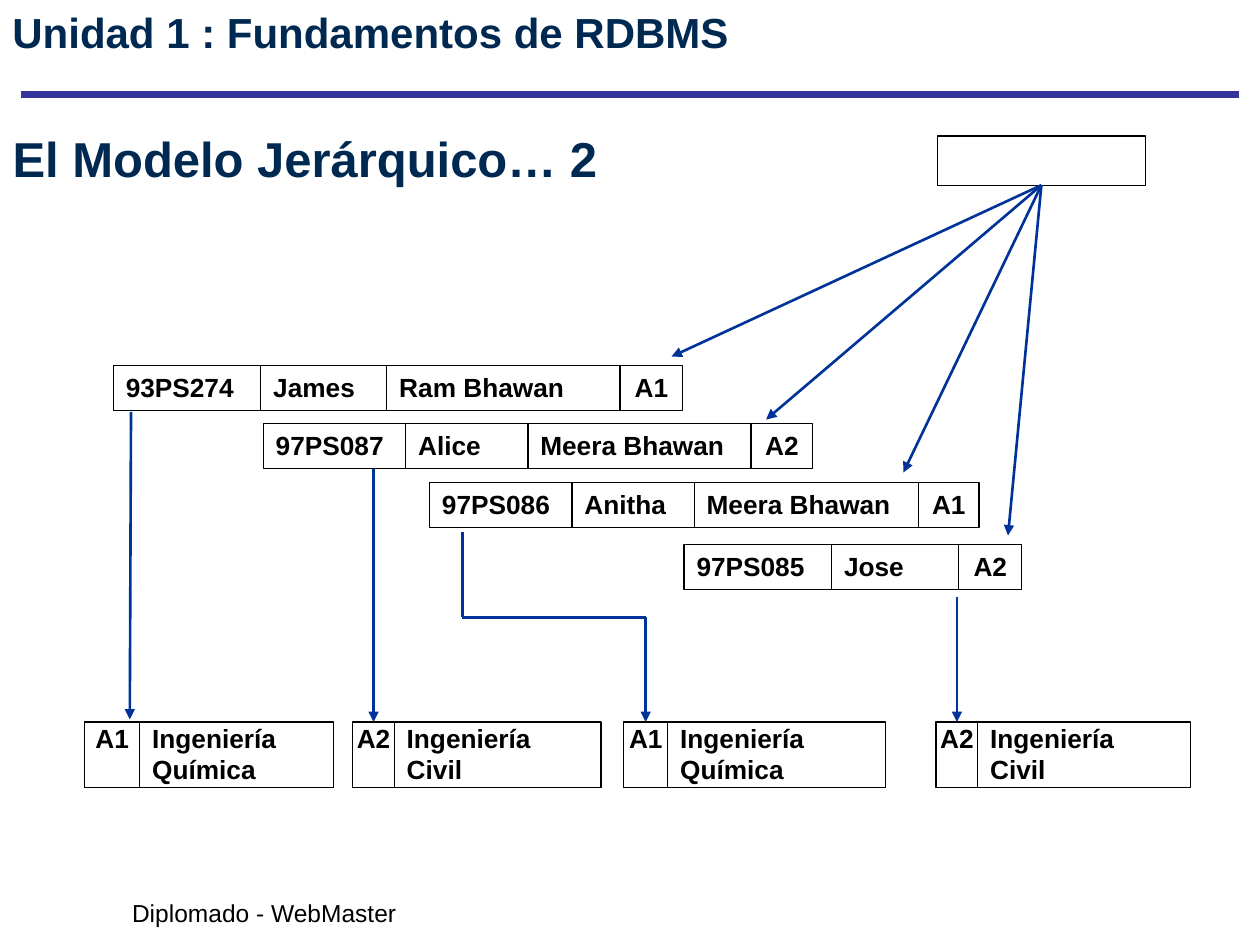
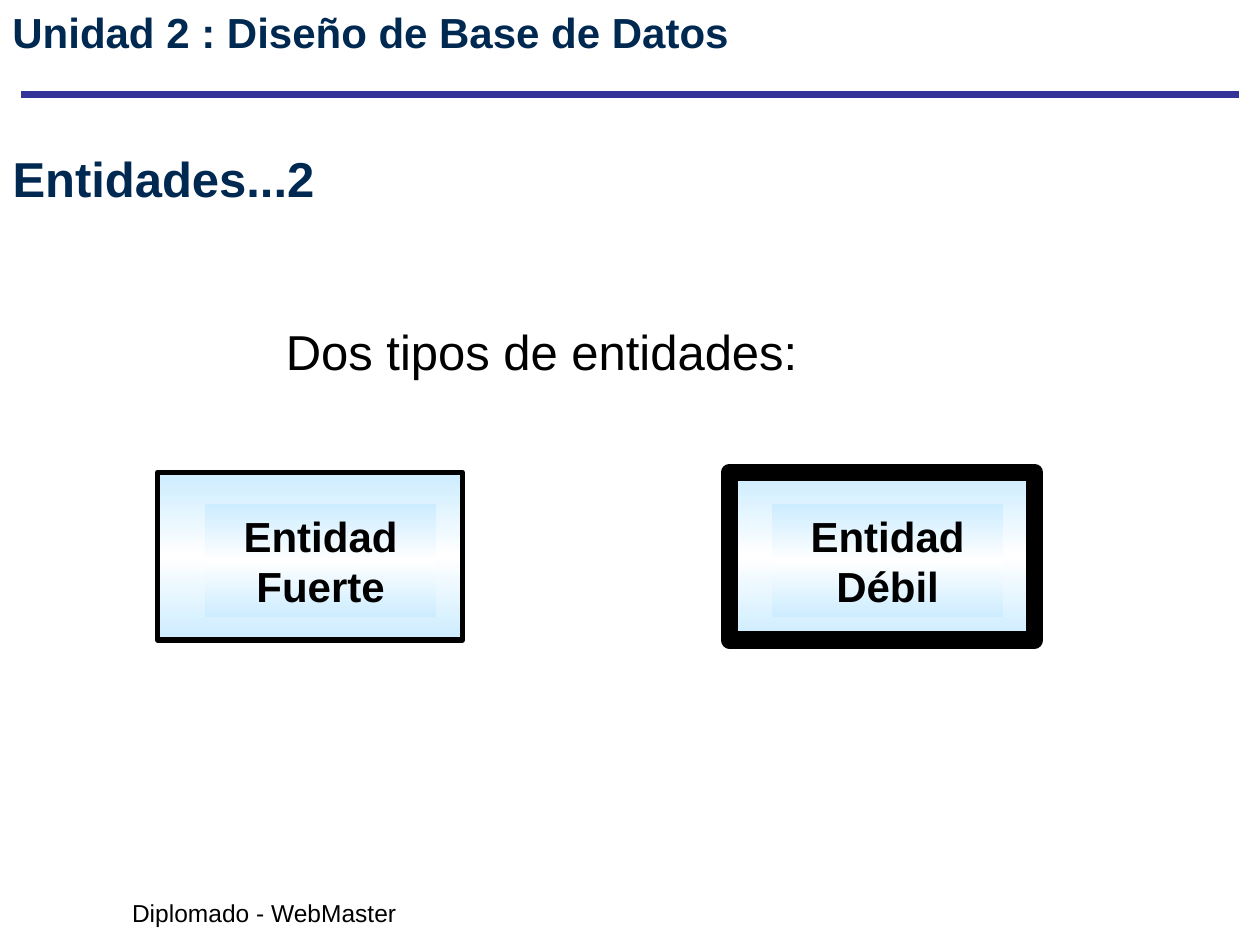
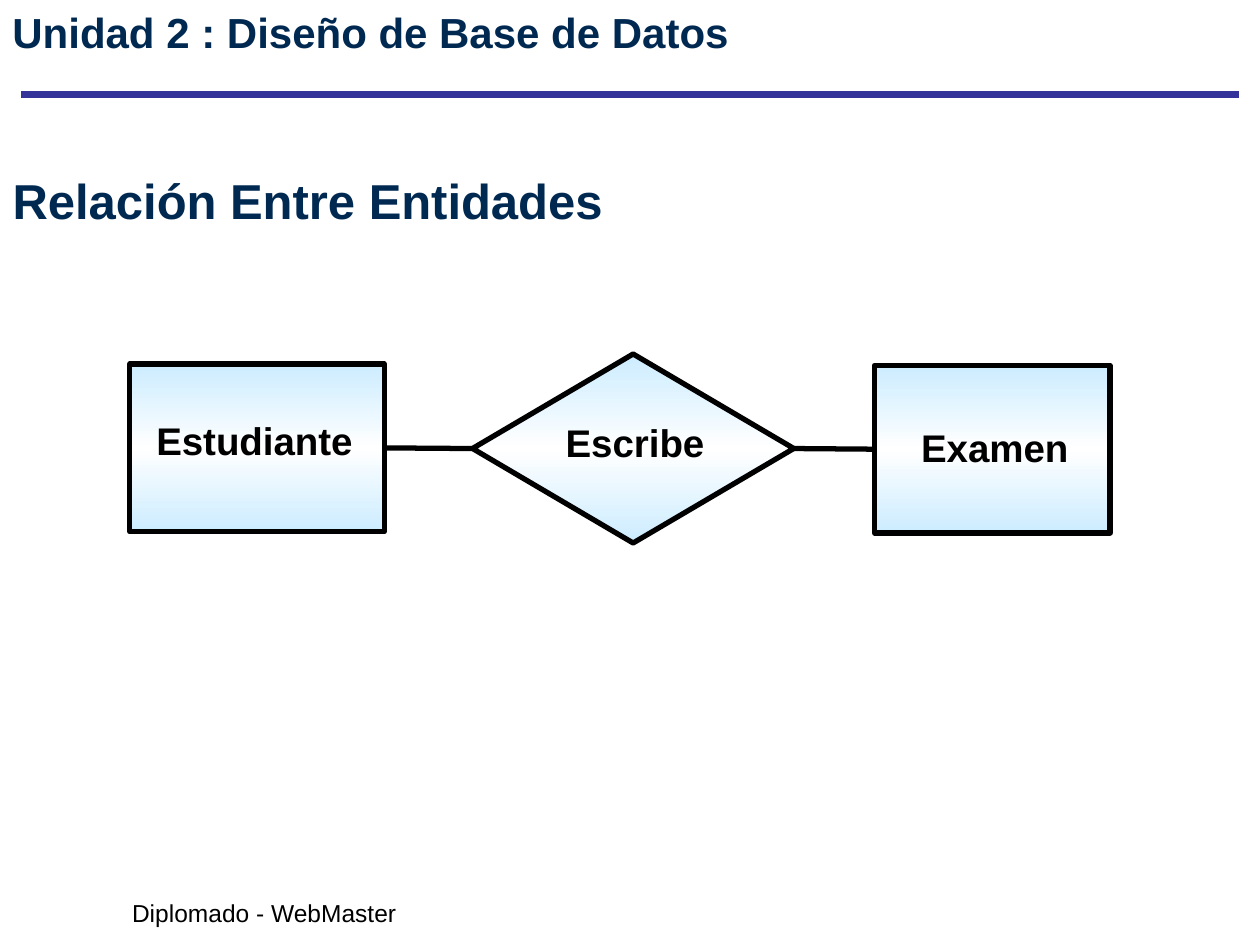
from copy import deepcopy

from pptx import Presentation
from pptx.dml.color import RGBColor
from pptx.enum.shapes import MSO_CONNECTOR, MSO_SHAPE
from pptx.enum.text import MSO_ANCHOR, MSO_AUTO_SIZE, PP_ALIGN
from pptx.oxml.ns import qn
from pptx.util import Inches, Pt
from lxml import etree

LEFT, CENTER = PP_ALIGN.LEFT, PP_ALIGN.CENTER
RECT, DECISION = MSO_SHAPE.RECTANGLE, MSO_SHAPE.FLOWCHART_DECISION
STRAIGHT = MSO_CONNECTOR.STRAIGHT
MIDDLE, NO_FIT = MSO_ANCHOR.MIDDLE, MSO_AUTO_SIZE.NONE

FONT = "Arial"
NAVY = RGBColor(0x00, 0x29, 0x52)
RULE = RGBColor(0x33, 0x33, 0x99)
ARROW = RGBColor(0x00, 0x33, 0x99)
BLACK = RGBColor(0x00, 0x00, 0x00)
WHITE = RGBColor(0xFF, 0xFF, 0xFF)
SKY = RGBColor(0xCC, 0xEC, 0xFF)


def add_box(slide, box, text="", size=15, bold=True, color=BLACK, align=LEFT,
            shape=None, line=None, gradient=False, inset=(0.1, 0.05), wrap=True):
    """Add a preset shape, or a text box when no shape is given."""
    box = [Inches(v) for v in box]
    if shape is None:
        sp = slide.shapes.add_textbox(*box)
    else:
        sp = slide.shapes.add_shape(shape, *box)
        sp.shadow.inherit = False
        if gradient:
            sp.fill.gradient()
            sp.fill.gradient_angle = 90
            stops = sp._element.spPr.find(".//" + qn("a:gsLst"))
            stops.append(deepcopy(stops[0]))
            for stop, pos, rgb in zip(sp.fill.gradient_stops, (0, 0.5, 1), (SKY, WHITE, SKY)):
                stop.position = pos
                stop.color.rgb = rgb
        else:
            sp.fill.background()
        if line:
            sp.line.color.rgb = BLACK
            sp.line.width = Pt(line)
        else:
            sp.line.fill.background()
    if text:
        tf = sp.text_frame
        tf.word_wrap = wrap
        tf.vertical_anchor = MSO_ANCHOR.TOP
        tf.margin_left = tf.margin_right = Inches(inset[0])
        tf.margin_top = tf.margin_bottom = Inches(inset[1])
        tf.text = text
        p = tf.paragraphs[0]
        p.alignment = align
        for r in p.runs:
            r.font.name, r.font.size, r.font.bold = FONT, Pt(size), bold
            r.font.color.rgb = color
    return sp


def add_line(slide, x1, y1, x2, y2, color, width, arrow=False):
    line = slide.shapes.add_connector(STRAIGHT, *[Inches(v) for v in (x1, y1, x2, y2)])
    line.line.color.rgb = color
    line.line.width = Pt(width)
    if arrow:
        etree.SubElement(line.line._get_or_add_ln(), qn("a:tailEnd"), type="triangle")
    etree.SubElement(line._element.spPr, qn("a:effectLst"))
    return line


prs = Presentation()
prs.slide_width, prs.slide_height = Inches(10), Inches(7.5)

# Shared frame: rule, title, unit heading and footer
UNIT_1 = "Unidad 1 : Fundamentos de RDBMS"
UNIT_2 = "Unidad 2 : Diseño de Base de Datos"
pages = [
    (UNIT_1, "El Modelo Jerárquico… 2", (0, 0.92, 8.5, 0.67)),
    (UNIT_2, "Entidades...2", (0, 1.08, 6.67, 0.67)),
    (UNIT_2, "Relación Entre Entidades", (0, 1.17, 8.5, 0.83)),
]
slides = []
for unit, heading, box in pages:
    slide = prs.slides.add_slide(prs.slide_layouts[5])
    add_line(slide, 0.17, 0.75, 9.83, 0.75, RULE, 4.5)
    title = slide.shapes.title
    title.left, title.top, title.width, title.height = [Inches(v) for v in box]
    tf = title.text_frame
    tf.text = heading
    tf.auto_size = NO_FIT
    tf.vertical_anchor = MIDDLE
    p = tf.paragraphs[0]
    p.alignment = LEFT
    font = p.runs[0].font
    font.name, font.size, font.bold = FONT, Pt(28), True
    font.color.rgb = NAVY
    add_box(slide, (0.95, 7.08, 2.3, 0.34), "Diplomado - WebMaster", 14, False, wrap=False)
    add_box(slide, (0, 0, 7.91, 0.58), unit, 24, color=NAVY)
    slides.append(slide)
hierarchy, entities, relation = slides

# Slide 1: student records, each a row of adjoining cells
records = [
    (0.9, 2.9, [("93PS274", 1.17), ("James", 1), ("Ram Bhawan", 1.85), ("A1", 0.5)]),
    (2.09, 3.36, [("97PS087", 1.13), ("Alice", 0.97), ("Meera Bhawan", 1.77), ("A2", 0.49)]),
    (3.41, 3.83, [("97PS086", 1.13), ("Anitha", 0.97), ("Meera Bhawan", 1.78), ("A1", 0.48)]),
    (5.43, 4.32, [("97PS085", 1.17), ("Jose", 1.01), ("A2", 0.5)]),
]
for x, y, cells in records:
    for text, width in cells:
        is_key = text in ("A1", "A2")
        add_box(hierarchy, (x, y, width, 0.36), text, shape=RECT, line=0.75,
                align=CENTER if is_key else LEFT, inset=(0 if is_key else 0.1, 0.05))
        x += width

careers = [
    (0.67, 0.44, "A1", 1.54, "Ingeniería\vQuímica"),
    (2.8, 0.33, "A2", 1.64, "Ingeniería\vCivil"),
    (4.95, 0.35, "A1", 1.73, "Ingeniería\vQuímica"),
    (7.43, 0.33, "A2", 1.69, "Ingeniería\vCivil"),
]
CAREER_TOP = 5.73
key_boxes = []
for x, key_width, key, name_width, name in careers:
    key_boxes.append(add_box(hierarchy, (x, CAREER_TOP, key_width, 0.52), key,
                             align=CENTER, shape=RECT, line=0.75, inset=(0, 0)))
    add_box(hierarchy, (x + key_width, CAREER_TOP, name_width, 0.52), name,
            shape=RECT, line=0.75, inset=(0.1, 0))

add_line(hierarchy, 1.04, 3.27, 1.03, 5.71, ARROW, 1.5, arrow=True)
for (x, key_width, *_), key_box, top in zip(careers[1:], key_boxes[1:], (3.72, 4.9, 4.74)):
    middle = x + key_width / 2
    arrow = add_line(hierarchy, middle, top, middle, CAREER_TOP, ARROW, 1.5, arrow=True)
    arrow.end_connect(key_box, 0)
add_line(hierarchy, 3.67, 4.22, 3.67, 4.9, ARROW, 1.5)
add_line(hierarchy, 3.67, 4.9, 5.13, 4.9, ARROW, 1.5)

root = add_box(hierarchy, (7.44, 1.08, 1.65, 0.39), shape=RECT, line=0.75)
for x, y in [(5.33, 2.83), (6.08, 3.33), (7.17, 3.75), (8, 4.25)]:
    arrow = add_line(hierarchy, 8.26, 1.47, x, y, ARROW, 1.5, arrow=True)
    arrow.begin_connect(root, 2)

# Slide 2: strong and weak entities differ by border weight
add_box(entities, (2.17, 2.5, 6.92, 0.75), "Dos tipos de entidades:", 28, False)
for x, label_x, text, border in [(1.25, 1.63, "Entidad Fuerte", 3), (5.79, 6.13, "Entidad Débil", 10)]:
    add_box(entities, (x, 3.75, 2.42, 1.33), shape=RECT, line=border, gradient=True)
    add_box(entities, (label_x, 4, 1.83, 0.9), text, 24, align=CENTER, shape=RECT, gradient=True)

# Slide 3: two entities joined through a relation
nodes = [
    (RECT, (1.03, 2.89, 2.02, 1.33), "Estudiante", (1.12, 3.26, 1.8, 0.47)),
    (DECISION, (3.75, 2.81, 2.55, 1.5), "Escribe", (4.33, 3.28, 1.42, 0.47)),
    (RECT, (6.94, 2.9, 1.87, 1.33), "Examen", (7.18, 3.32, 1.43, 0.47)),
]
node_shapes = []
for shape, box, text, label_box in nodes:
    node_shapes.append(add_box(relation, box, shape=shape, line=3, gradient=True))
    add_box(relation, label_box, text, 22, align=CENTER)
for before, after in zip(node_shapes, node_shapes[1:]):
    link = add_line(relation, 3.05, 3.56, 3.75, 3.56, BLACK, 3)
    link.begin_connect(before, 3)
    link.end_connect(after, 1)

prs.save("out.pptx")
